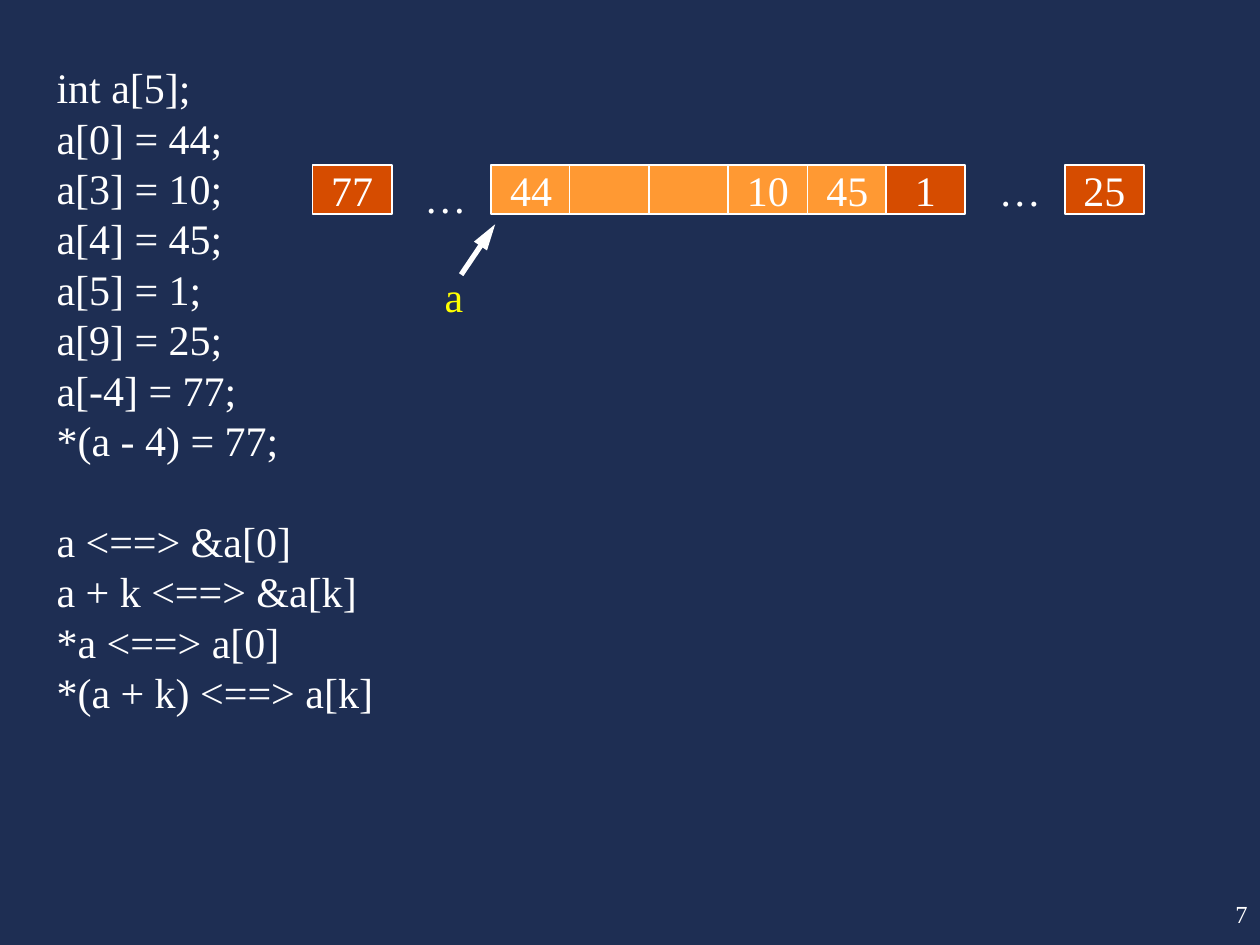
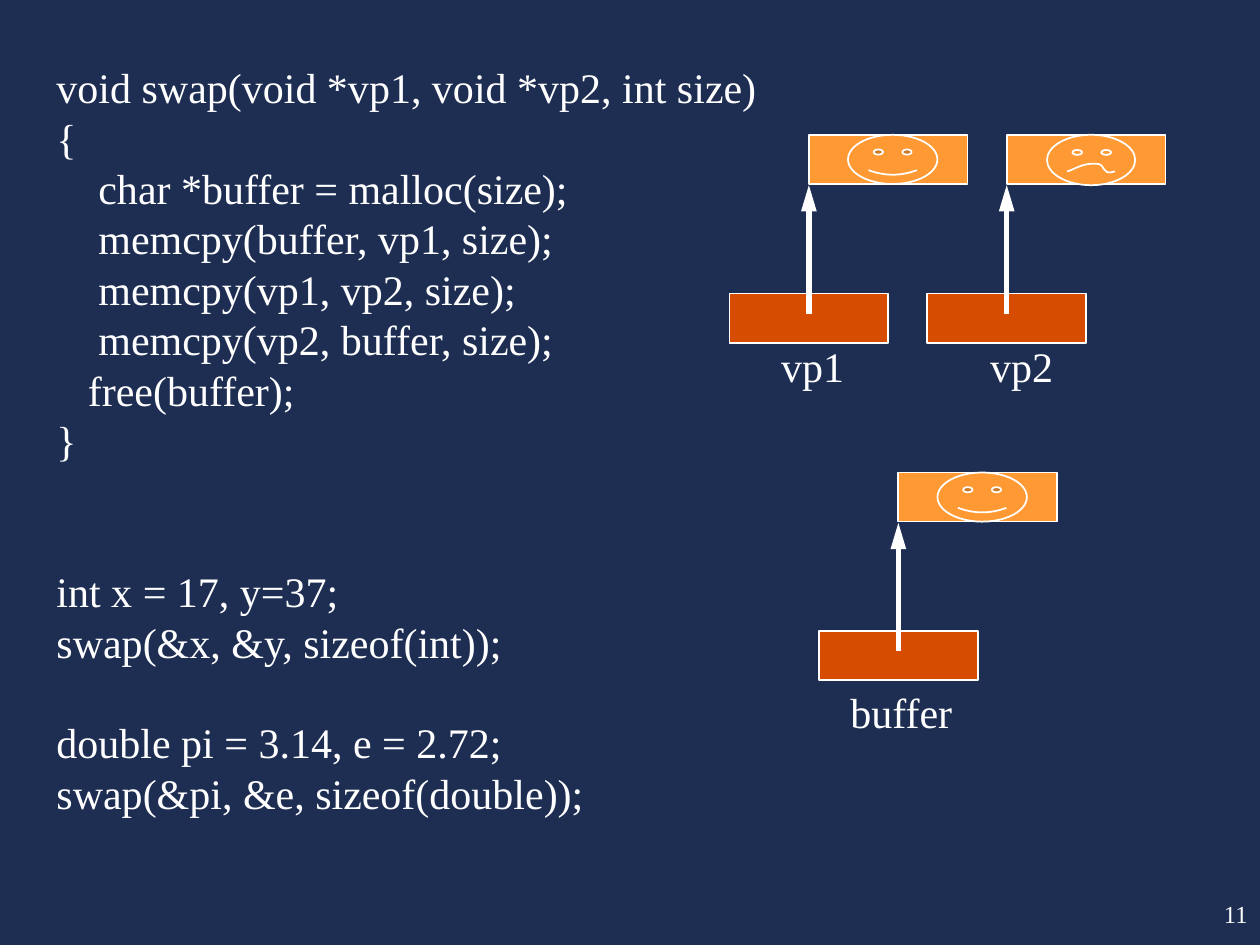
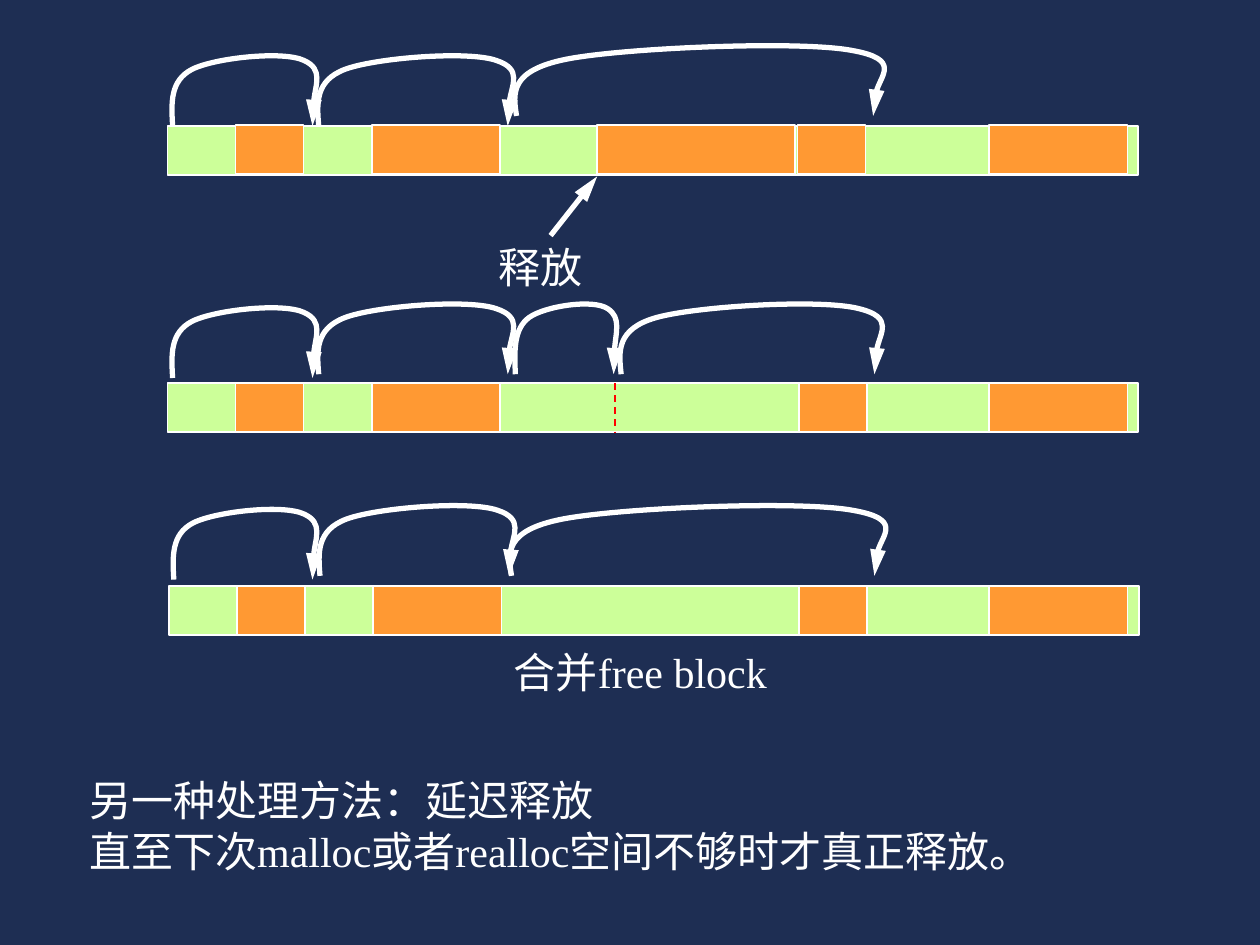
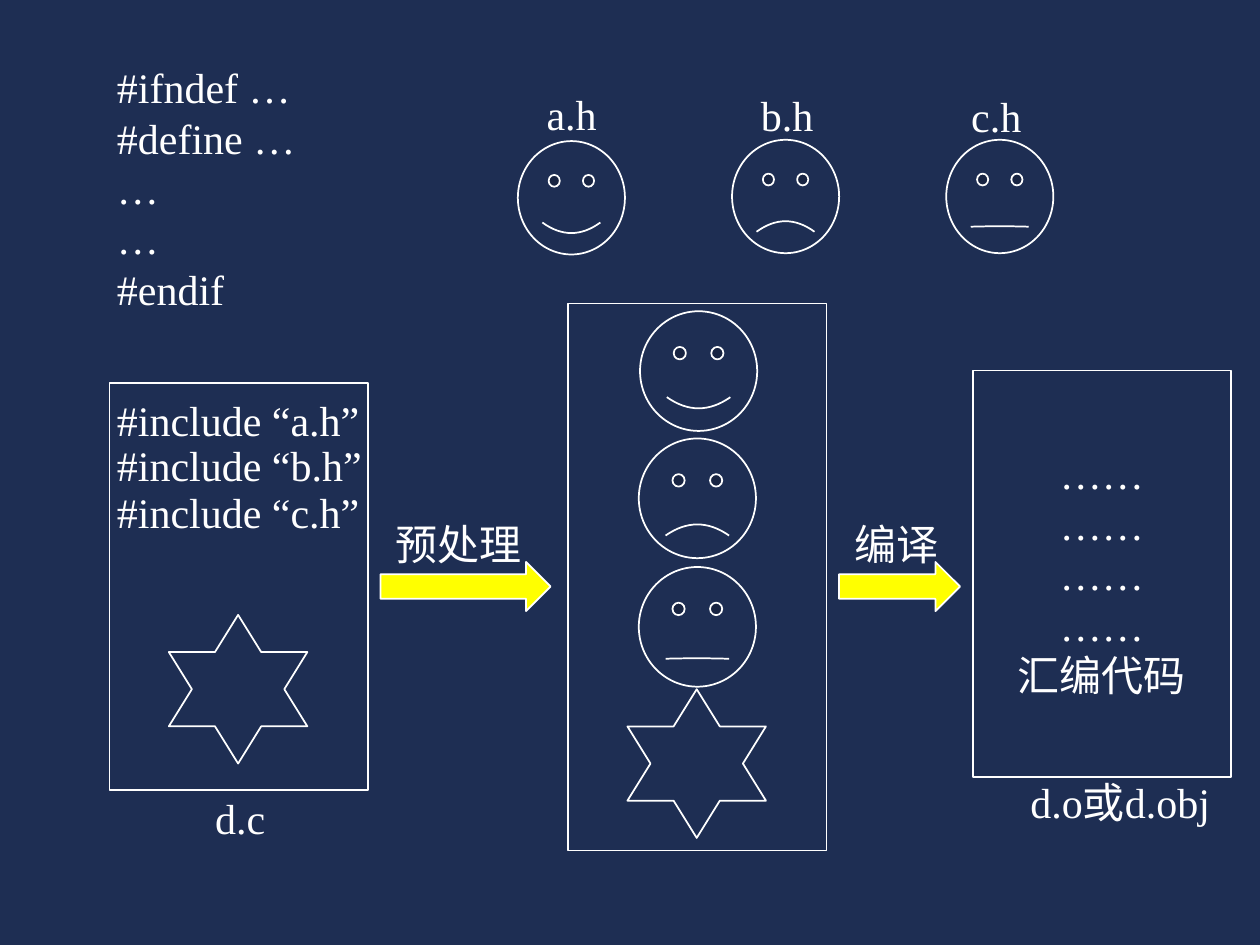
from dataclasses import dataclass

from lxml import etree
from pptx import Presentation
from pptx.dml.color import RGBColor
from pptx.enum.dml import MSO_LINE
from pptx.enum.shapes import MSO_CONNECTOR, MSO_SHAPE
from pptx.enum.text import MSO_ANCHOR, PP_ALIGN
from pptx.oxml.ns import qn
from pptx.util import Inches, Pt

RECT, ARROW = MSO_SHAPE.RECTANGLE, MSO_SHAPE.RIGHT_ARROW
FACE, STAR = MSO_SHAPE.SMILEY_FACE, MSO_SHAPE.STAR_6_POINT
STRAIGHT, DASH = MSO_CONNECTOR.STRAIGHT, MSO_LINE.DASH
LEFT, CENTER, RIGHT = PP_ALIGN.LEFT, PP_ALIGN.CENTER, PP_ALIGN.RIGHT
MIDDLE = MSO_ANCHOR.MIDDLE


@dataclass(frozen=True)
class Theme:
    back: str = "1E2E53"
    ink: str = "FFFFFF"
    orange: str = "FF9933"
    rust: str = "D64C00"
    green: str = "CCFF99"
    yellow: str = "FFFF00"
    red: str = "FF0000"
    font: str = "Times New Roman"
    body: int = 24
    small: int = 14
    pitch: float = 1.2
    thin: int = 1
    thick: int = 3


T = Theme()


def put(shapes, at, text="", kind=None, fill=T.back, ink=T.ink, size=T.body, align=None):
    """Add a shape, or a text box if no kind is given; an empty line becomes space."""
    place = [Inches(v) for v in at]
    if kind is None:
        item = shapes.add_textbox(*place)
    else:
        item = shapes.add_shape(kind, *place)
        item.shadow.inherit = False
        item.fill.solid()
        item.fill.fore_color.rgb = RGBColor.from_string(fill)
        item.line.color.rgb = RGBColor.from_string(T.ink)
        item.line.width = Pt(T.thin)
    if not text:
        return item
    frame = item.text_frame
    frame.word_wrap = True
    lines = text.split("\n")
    frame.text = "\n".join(line for line in lines if line)
    paras = iter(frame.paragraphs)
    gap = 0
    for line in lines:
        if not line:
            gap += 1
            continue
        para = next(paras)
        para.alignment = align or (LEFT if kind is None else CENTER)
        para.line_spacing = Pt(T.pitch * size)
        if gap:
            para.space_before = Pt(gap * T.pitch * size)
        gap = 0
        for run in para.runs:
            run.font.name = T.font
            run.font.size = Pt(size)
            run.font.color.rgb = RGBColor.from_string(ink)
    return item


def draw(shapes, *curves, color=T.ink, width=T.thick, head=True, fill=None):
    """Draw a straight line through two points, or one shape of Bezier curves."""
    curves = [[(Inches(x), Inches(y)) for x, y in curve] for curve in curves]
    first = curves[0]
    if len(first) == 2:
        line = shapes.add_connector(STRAIGHT, *first[0], *first[1])
    else:
        pen = shapes.build_freeform(*first[0])
        pulls = []
        for curve in curves:
            if curve is not first:
                pen.move_to(*curve[0])
            pen.add_line_segments(curve[3::3], close=False)
            pulls += [curve[i:i + 2] for i in range(1, len(curve), 3)]
        line = pen.convert_to_shape()
        for node, pair in zip(list(line.element.spPr.iter(qn("a:lnTo"))), pulls):
            node.tag = qn("a:cubicBezTo")
            for i, (x, y) in enumerate(pair):
                spot = etree.Element(qn("a:pt"), x=str(x - line.left), y=str(y - line.top))
                node.insert(i, spot)
        if fill:
            line.fill.solid()
            line.fill.fore_color.rgb = RGBColor.from_string(fill)
        else:
            line.fill.background()
    line.line.color.rgb = RGBColor.from_string(color)
    line.line.width = Pt(width)
    props = line.element.spPr
    if head:
        etree.SubElement(props.find(qn("a:ln")), qn("a:tailEnd"),
                         type="triangle", w="med", len="lg")
    etree.SubElement(props, qn("a:effectLst"))
    return line


deck = Presentation()
deck.slide_width, deck.slide_height = Inches(10), Inches(7.5)
paper = deck.slide_master.background.fill
paper.solid()
paper.fore_color.rgb = RGBColor.from_string(T.back)
blank = deck.slide_layouts[6]
array, swap, heap, build = [deck.slides.add_slide(blank).shapes for _ in range(4)]

for shapes, number in ((array, "7"), (swap, "11")):
    page = put(shapes, (7.92, 7, 2.08, 0.5), number, size=T.small, align=RIGHT)
    page.text_frame.vertical_anchor = MIDDLE

# Array access
put(array, (0.35, 0.44, 5.51, 5.35), """int a[5];
a[0] = 44;
a[3] = 10;
a[4] = 45;
a[5] = 1;
a[9] = 25;
a[-4] = 77;
*(a - 4) = 77;

a <==> &a[0]
a + k <==> &a[k]
*a <==> a[0]
*(a + k) <==> a[k]""")
cell, high = 0.63, 0.39
for left, value, fill in ((3.9, "44", T.orange), (4.52, "", T.orange), (5.15, "", T.orange),
                          (5.78, "10", T.orange), (6.41, "45", T.orange),
                          (7.03, "1", T.rust), (2.48, "77", T.rust), (8.45, "25", T.rust)):
    put(array, (left, 1.31, cell, high), value, RECT, fill)
for left, top in ((3.27, 1.31), (7.83, 1.26)):
    put(array, (left, top, 0.47, 0.5), "…")
draw(array, ((3.66, 2.18), (3.93, 1.78)))
put(array, (3.43, 2.1, 0.69, 0.5), "a", ink=T.yellow)

# Generic swap
put(swap, (0.35, 0.44, 6.77, 6.16), """void swap(void *vp1, void *vp2, int size)
{
    char *buffer = malloc(size);
    memcpy(buffer, vp1, size);
    memcpy(vp1, vp2, size);
    memcpy(vp2, buffer, size);
   free(buffer);
}


int x = 17, y=37;
swap(&x, &y, sizeof(int));

double pi = 3.14, e = 2.72;
swap(&pi, &e, sizeof(double));""")
wide = 1.26
for left, top, happy in ((6.42, 1.07, True), (7.99, 1.07, False), (7.13, 3.75, True)):
    put(swap, (left, top, wide, high), kind=RECT, fill=T.orange)
    put(swap, (left - wide / 2, top + wide, wide, high), kind=RECT, fill=T.rust)
    draw(swap, ((left, top + 1.42), (left, top + 0.4)))
    if happy:
        put(swap, (left + 0.31, top, 0.71, high), kind=FACE, fill=T.orange)

# Wry face: head, two eyes and a mouth in one outline
bow = 0.55
ring = ((-1, 0), (-1, -bow), (-bow, -1), (0, -1), (bow, -1), (1, -bow), (1, 0),
        (1, bow), (bow, 1), (0, 1), (-bow, 1), (-1, bow), (-1, 0))
wry = [[(x + across * dx, y + down * dy) for dx, dy in ring]
       for x, y, across, down in ((8.66, 1.27, 0.35, 0.2), (8.55, 1.21, 0.04, 0.02),
                                  (8.78, 1.21, 0.04, 0.02))]
wry.append(((8.47, 1.36), (8.5, 1.36), (8.59, 1.29), (8.7, 1.3),
            (8.79, 1.3), (8.73, 1.4), (8.85, 1.36)))
draw(swap, *wry, width=T.thin, head=False, fill=T.orange)

for name, left, top, width in (("vp1", 6.1, 2.65, 0.71), ("vp2", 7.76, 2.65, 0.79),
                               ("buffer", 6.65, 5.4, 1.02)):
    put(swap, (left, top, width, 0.5), name)

# Freeing and merging heap blocks: row start and top, block top, blocks, hops
used = ((1.87, 0.54), (2.95, 1.02), (7.85, 1.1))
late = (6.34, 0.54)
rows = (
    (1.33, 1, 0.99, (*used, (4.74, 1.57), (6.33, 0.54)),
     ((1.37, 2.48, 1), (2.53, 4.03, 1), (4.1, 6.93, 0.92))),
    (1.33, 3.04, 3.04, (*used, late),
     ((1.37, 2.48, 3), (2.53, 4.03, 2.97), (4.09, 4.87, 2.97), (4.93, 6.94, 2.97))),
    (1.34, 4.65, 4.65, ((1.88, 0.54), (2.96, 1.02), (7.85, 1.1), late),
     ((1.38, 2.48, 4.6), (2.54, 4.04, 4.57), (4.06, 6.94, 4.57))),
)
# Each hop: share of its span, and rise above its foot
hop = ((0, 0), (-0.01, 0.18), (-0.02, 0.36), (0.14, 0.45), (0.3, 0.54),
       (0.79, 0.6), (0.94, 0.52), (1.08, 0.45), (0.98, 0.11), (1, 0))
for start, top, lid, blocks, hops in rows:
    put(heap, (start, top, 7.7, high), kind=RECT, fill=T.green)
    for left, width in blocks:
        put(heap, (left, lid, width, high), kind=RECT, fill=T.orange)
    for near, far, foot in hops:
        draw(heap, [(near + x * (far - near), foot - y) for x, y in hop])
draw(heap, ((4.37, 1.87), (4.74, 1.4)))
put(heap, (3.86, 1.87, 1.02, 0.5), "释放")
put(heap, (3.98, 5.08, 2.22, 0.5), "合并free block")
put(heap, (0.61, 6.1, 9.13, 0.91),
    "另一种处理方法：延迟释放\n直至下次malloc或者realloc空间不够时才真正释放。")
seam = draw(heap, ((4.88, 3.04), (4.88, 3.43)), color=T.red, width=T.thin, head=False)
seam.line.dash_style = DASH

# Preprocessing and compiling
put(build, (0.83, 0.44, 1.63, 2.12), "#ifndef …\n#define …\n…\n…\n#endif")
smile, frown, flat = 0.047, -0.047, -0.002
for left, top, mood in ((4.11, 1.12, smile), (5.81, 1.11, frown), (7.51, 1.11, flat)):
    put(build, (left, top, 0.85, 0.9), kind=FACE).adjustments[0] = mood
for name, left, top, width in (("a.h", 4.24, 0.65, 0.6), ("b.h", 5.94, 0.66, 0.62),
                               ("c.h", 7.61, 0.67, 0.6), ("d.c", 1.61, 6.24, 0.6)):
    put(build, (left, top, width, 0.5), name)

source = build.add_group_shape().shapes
put(source, (0.87, 3.04, 2.05, 3.23), kind=RECT)
for name, top, width in (("a", 3.08, 2.13), ("b", 3.44, 2.16), ("c", 3.81, 2.14)):
    put(source, (0.83, top, width, 0.5), f"#include “{name}.h”")
put(source, (1.34, 4.88, 1.1, 1.18), kind=STAR)

merged = build.add_group_shape().shapes
put(merged, (4.51, 2.41, 2.05, 4.34), kind=RECT)
put(merged, (4.98, 5.47, 1.1, 1.18), kind=STAR)
for left, top, mood in ((5.08, 2.47, smile), (5.07, 3.48, frown), (5.07, 4.5, flat)):
    put(merged, (left, top, 0.93, 0.95), kind=FACE).adjustments[0] = mood

for name, left, width, room in (("预处理", 3.02, 1.35, 1.21), ("编译", 6.66, 0.96, 0.88)):
    put(build, (left, 4.46, width, high), kind=ARROW, fill=T.yellow)
    put(build, (left + 0.02, 4.07, room, 0.5), name)
put(build, (7.72, 2.94, 2.05, 3.23), "……\n……\n……\n……\n汇编代码", RECT)
put(build, (8.08, 6.11, 1.64, 0.5), "d.o或d.obj")

deck.save("out.pptx")
